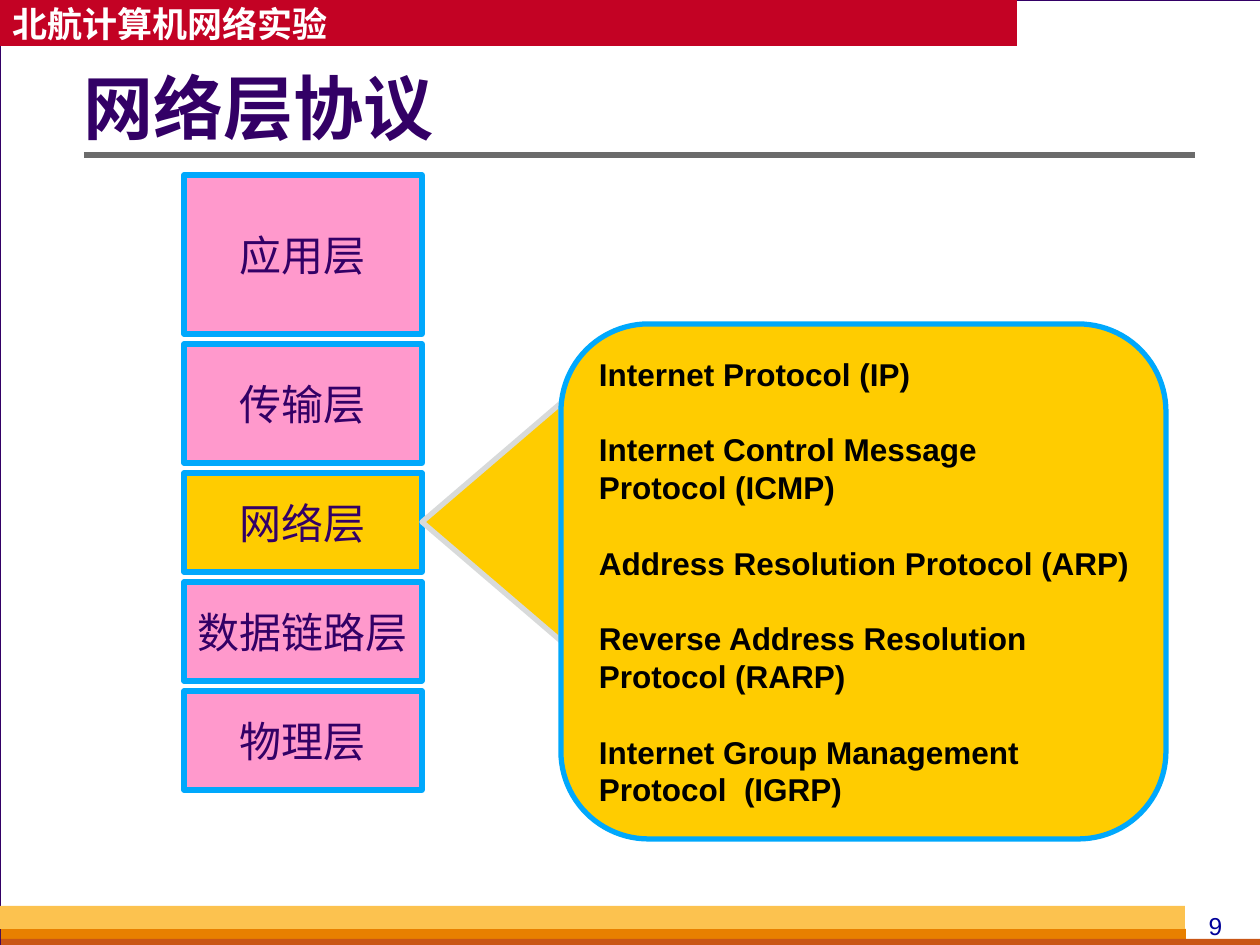
from pptx import Presentation
from pptx.dml.color import RGBColor
from pptx.enum.shapes import MSO_CONNECTOR, MSO_SHAPE
from pptx.enum.text import MSO_ANCHOR, PP_ALIGN
from pptx.oxml.ns import qn
from pptx.util import Emu, Pt

RECT = MSO_SHAPE.RECTANGLE
ROUNDED = MSO_SHAPE.ROUNDED_RECTANGLE
MERGE = MSO_SHAPE.FLOWCHART_MERGE
STRAIGHT = MSO_CONNECTOR.STRAIGHT
LEFT, CENTER = PP_ALIGN.LEFT, PP_ALIGN.CENTER
TOP, MIDDLE = MSO_ANCHOR.TOP, MSO_ANCHOR.MIDDLE

PX_PER_INCH = 126
HAN_FONT = "Noto Sans CJK SC"
INK, WHITE, PINK, GOLD = "330066", "FFFFFF", "FF99CC", "FFCC00"
SKY, MIST = "00A8FC", "D8DADA"

LAYERS = [("应用层", 159, PINK), ("传输层", 119, PINK), ("网络层", 99, GOLD),
          ("数据链路层", 99, PINK), ("物理层", 99, PINK)]
PROTOCOLS = [
    "Internet Protocol (IP)",
    "Internet Control Message\vProtocol (ICMP)",
    "Address Resolution Protocol (ARP)",
    "Reverse Address Resolution\vProtocol (RARP)",
    "Internet Group Management\vProtocol  (IGRP)",
]


def px(length):
    return Emu(round(length * 914400 / PX_PER_INCH))


def color(hex_string):
    return RGBColor.from_string(hex_string)


def add_block(page, box, fill, line=None, line_width=3, kind=RECT):
    shape = page.shapes.add_shape(kind, *map(px, box))
    shape.shadow.inherit = False
    shape.fill.solid()
    shape.fill.fore_color.rgb = color(fill)
    if line:
        shape.line.color.rgb = color(line)
        shape.line.width = Pt(line_width)
    else:
        shape.line.fill.background()
    return shape


def write(shape, texts, size, font, ink, bold=False, align=LEFT,
          anchor=MIDDLE, wrap=False, spacing=None, gap=0):
    """Fill a shape with paragraphs, with gap points between them."""
    frame = shape.text_frame
    frame.word_wrap = wrap
    frame.vertical_anchor = anchor
    para_format = {"alignment": align, "line_spacing": spacing}
    span_format = {"size": Pt(size), "bold": bold, "name": font}
    for index, text in enumerate(texts):
        para = frame.add_paragraph() if index else frame.paragraphs[0]
        para.text = text
        for name, value in para_format.items():
            setattr(para, name, value)
        if index:
            para.space_before = Pt(gap)
        for span in para.runs:
            for name, value in span_format.items():
                setattr(span.font, name, value)
            span.font.color.rgb = color(ink)
            latin = span.font._element.find(qn("a:latin"))
            east_asian = latin.makeelement(qn("a:ea"), {"typeface": HAN_FONT})
            latin.addnext(east_asian)


def add_text(page, box, text, **text_format):
    shape = page.shapes.add_textbox(*map(px, box))
    write(shape, [text], **text_format)
    return shape


def draw_frame(page, width, height):
    add_block(page, (0, 0, width + 1, height), WHITE, INK, 0.75)
    banner = add_block(page, (0, 0, 1017, 46), "C30224")
    write(banner, ["北航计算机网络实验"], 20, HAN_FONT, WHITE, bold=True)


def draw_footer(page, left, top, width):
    stripe = width - 75
    add_block(page, (left + 1, top + 23, stripe, 10), "E88000")
    add_block(page, (left + 1, top + 33, width, 10), "C95616")
    add_block(page, (left, top, stripe, 23), "FCC24F")
    add_text(page, (left + stripe - 9, top - 1, 79, 43), "9", size=14,
             font="Arial", ink="000099", align=CENTER, anchor=TOP, wrap=True)


def draw_title(page, left, top, width, height):
    rule_top = top + 97
    rule = page.shapes.add_connector(
        STRAIGHT, *map(px, (left, rule_top, left + width, rule_top)))
    rule.line.color.rgb = color("6B6B6B")
    rule.line.width = Pt(3)
    properties = rule._element.spPr
    properties.append(properties.makeelement(qn("a:effectLst"), {}))
    title = add_text(page, (left, top, width, height), "网络层协议", size=40,
                     font=HAN_FONT, ink=INK, bold=True, wrap=True, spacing=0.9)
    title.text_frame.margin_left = 0


def draw_layers(page, left, top, width, gap=10):
    for name, height, fill in LAYERS:
        layer = add_block(page, (left, top, width, height), fill, SKY)
        write(layer, [name], 24, "Times New Roman", INK, align=CENTER)
        top += height + gap


def draw_callout(page, left, top, width, height, tip_left, tip_top):
    """Panel of protocols with a pointer whose tip touches the layer."""
    base, depth = 238, 139
    pointer_box = (tip_left + (depth - base) / 2, tip_top - depth / 2,
                   base, depth)
    pointer = add_block(page, pointer_box, GOLD, MIST, kind=MERGE)
    pointer.rotation = 90
    panel = add_block(page, (left, top, width, height), GOLD, SKY,
                      kind=ROUNDED)
    panel.adjustments[0] = 0.17
    write(panel, PROTOCOLS, 18, "Arial", "000000", bold=True,
          spacing=Pt(21.6), gap=21.6)


def main():
    width, height = 1260, 945
    deck = Presentation()
    deck.slide_width, deck.slide_height = px(width), px(height)
    page = deck.slides.add_slide(deck.slide_layouts[6])
    page.background.fill.solid()
    page.background.fill.fore_color.rgb = color(MIST)
    draw_frame(page, width, height)
    draw_footer(page, 0, 906, width)
    draw_title(page, 84, 58, 1111, 107)
    draw_layers(page, 184, 175, 238)
    draw_callout(page, 561, 324, 605, 515, tip_left=422, tip_top=522)
    deck.save("out.pptx")


if __name__ == "__main__":
    main()
